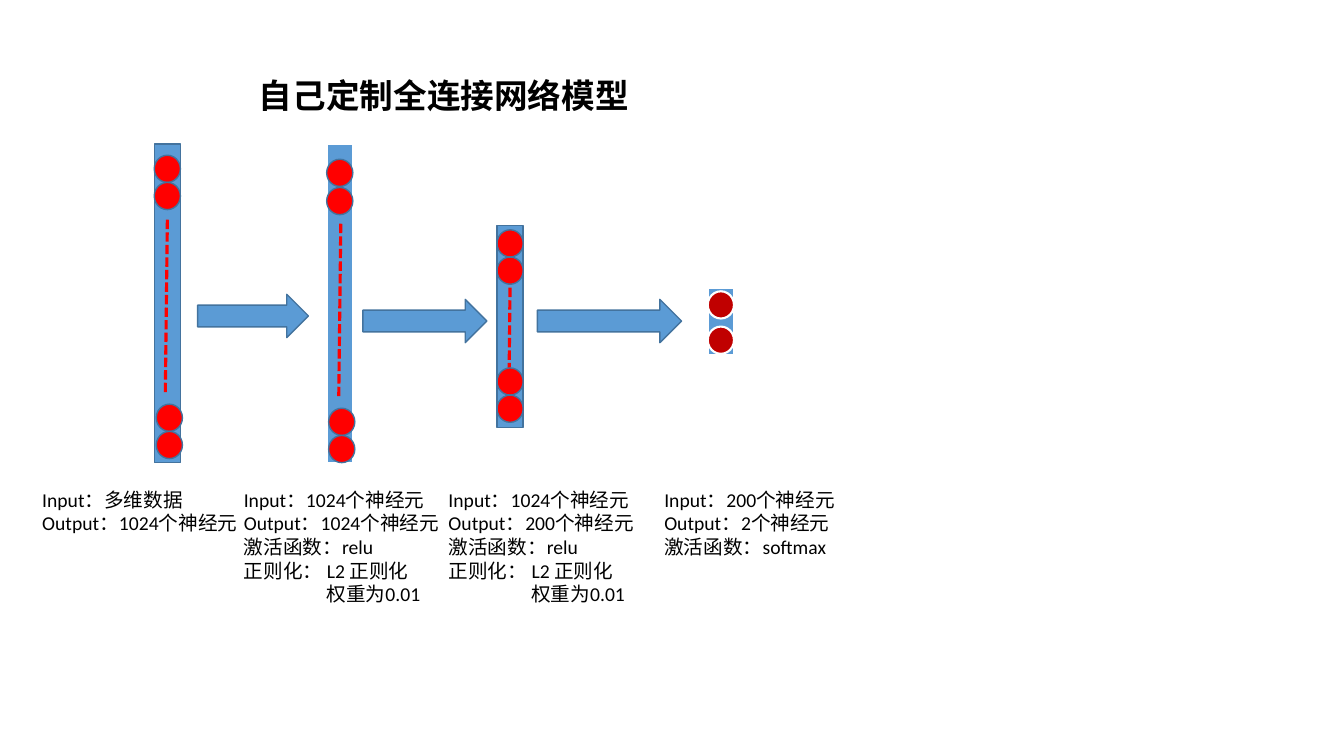
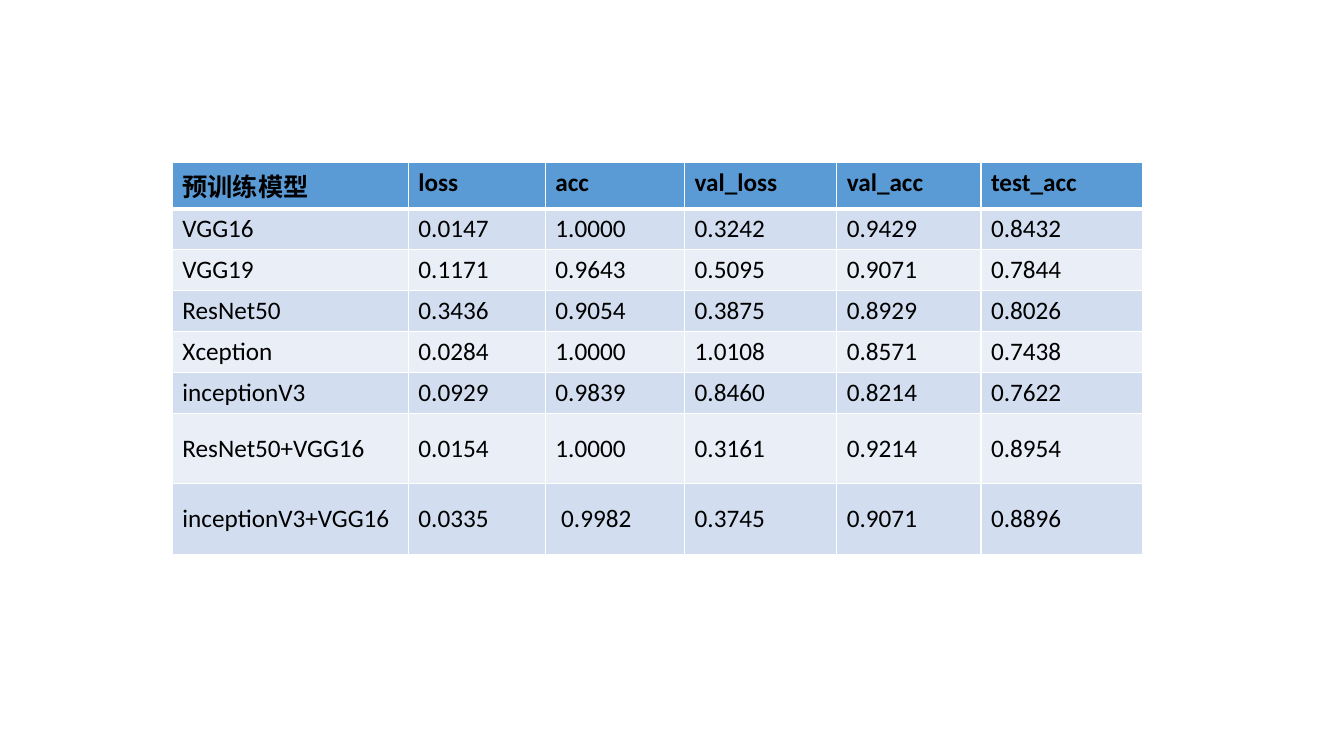
from pptx import Presentation
from pptx.dml.color import RGBColor
from pptx.enum.dml import MSO_LINE
from pptx.enum.shapes import MSO_CONNECTOR, MSO_SHAPE
from pptx.enum.text import MSO_ANCHOR
from pptx.oxml.ns import qn
from pptx.util import Inches, Pt
from lxml.etree import SubElement

FONT = "Calibri"
BLACK, WHITE = "000000", "FFFFFF"
BLUE, DARK_BLUE = "5B9BD5", "43739E"
RED, DARK_RED = "FF0000", "C00000"
BANDS = ("EAEFF7", "D2DEEF")
DARK_OUTLINE = (DARK_BLUE, 1)
WHITE_OUTLINE = (WHITE, 1.5)
BAR_WIDTH = 0.26
NEURON_HEIGHT = 0.27

LAYERS = [
    dict(left=1.53, top=1.43, height=3.16, outline=DARK_OUTLINE,
         neurons=[(0, 0.11), (0, 0.38), (0.02, 2.58), (0.02, 2.85)],
         dashes=(0.13, 0.75, 0.11, 2.46)),
    dict(left=3.24, top=1.43, height=3.16, outline=WHITE_OUTLINE,
         neurons=[(0, 0.15), (0, 0.43), (0.02, 2.62), (0.02, 2.89)],
         dashes=(0.14, 0.79, 0.12, 2.51)),
    dict(left=4.93, top=2.24, height=2, outline=DARK_OUTLINE,
         neurons=[(0, 0.04), (0, 0.31), (0, 1.41), (0, 1.68)],
         dashes=(0.13, 0.49, 0.12, 1.41)),
    dict(left=7.02, top=2.86, height=0.66, outline=WHITE_OUTLINE,
         neurons=[(0, 0.03), (0, 0.38)], neuron_color=DARK_RED,
         neuron_outline=WHITE_OUTLINE),
]
ARROWS = [(1.96, 2.92, 1.1), (3.6, 2.97, 1.23), (5.33, 2.97, 1.43)]
HIDDEN_LAYER = ["激活函数：relu", "正则化： L2 正则化"]
WEIGHT = "权重为0.01"
CAPTIONS = [
    (0.32, 0.57, ["Input：多维数据", "Output：1024个神经元"]),
    (2.32, 1.28, ["Input：1024个神经元", "Output：1024个神经元", *HIDDEN_LAYER, WEIGHT]),
    (4.35, 1.28, ["Input：1024个神经元", "Output：200个神经元", *HIDDEN_LAYER, WEIGHT]),
    (6.49, 0.81, ["Input：200个神经元", "Output：2个神经元", "激活函数：softmax"]),
]

COLUMN_WIDTHS = [2.34, 1.36, 1.38, 1.51, 1.43, 1.6]
ROW_HEIGHTS = [0.4] * 6 + [0.7] * 2
RESULTS = [
    ["预训练模型", "loss", "acc", "val_loss", "val_acc", "test_acc"],
    ["VGG16", "0.0147", "1.0000", "0.3242", "0.9429", "0.8432"],
    ["VGG19", "0.1171", "0.9643", "0.5095", "0.9071", "0.7844"],
    ["ResNet50", "0.3436", "0.9054", "0.3875", "0.8929", "0.8026"],
    ["Xception", "0.0284", "1.0000", "1.0108", "0.8571", "0.7438"],
    ["inceptionV3", "0.0929", "0.9839", "0.8460", "0.8214", "0.7622"],
    ["ResNet50+VGG16", "0.0154", "1.0000", "0.3161", "0.9214", "0.8954"],
    ["inceptionV3+VGG16", "0.0335", " 0.9982", "0.3745", "0.9071", "0.8896"],
]


def color(value):
    """Turn a hex string into a colour."""
    return RGBColor.from_string(value)


def style_paragraph(paragraph, size, bold=False):
    """Set the shared font on a paragraph."""
    font = paragraph.font
    font.name, font.size, font.bold = FONT, Pt(size), bold
    font.color.rgb = color(BLACK)


def add_text(slide, left, top, width, height, lines, size, bold=False):
    """Add a wrapped text box with one paragraph per line."""
    box = slide.shapes.add_textbox(*map(Inches, (left, top, width, height)))
    frame = box.text_frame
    frame.word_wrap = True
    frame.text = "\n".join(lines)
    for paragraph in frame.paragraphs:
        style_paragraph(paragraph, size, bold)
        if paragraph.text == WEIGHT:
            paragraph._p.get_or_add_pPr().set("marL", str(Inches(0.82)))


def add_figure(slide, kind, left, top, width, height, fill, outline):
    """Add a filled, outlined preset shape without shadow."""
    shape = slide.shapes.add_shape(kind, *map(Inches, (left, top, width, height)))
    shape.shadow.inherit = False
    shape.fill.solid()
    shape.fill.fore_color.rgb = color(fill)
    shape.line.color.rgb = color(outline[0])
    shape.line.width = Pt(outline[1])


def add_dashes(slide, start_x, start_y, end_x, end_y):
    """Add the dashed line that stands for the omitted neurons."""
    line = slide.shapes.add_connector(
        MSO_CONNECTOR.STRAIGHT, *map(Inches, (start_x, start_y, end_x, end_y)))
    line.line.color.rgb = color(RED)
    line.line.width = Pt(2.25)
    line.line.dash_style = MSO_LINE.SQUARE_DOT
    SubElement(line._element.spPr, qn("a:effectLst"))


def add_layer(slide, left, top, height, outline, neurons, dashes=None,
              neuron_color=RED, neuron_outline=DARK_OUTLINE):
    """Draw a network layer as a bar holding neurons and dashes."""
    add_figure(slide, MSO_SHAPE.RECTANGLE, left, top, BAR_WIDTH, height, BLUE, outline)
    if dashes:
        start_x, start_y, end_x, end_y = dashes
        add_dashes(slide, left + start_x, top + start_y, left + end_x, top + end_y)
    for offset_x, offset_y in neurons:
        add_figure(slide, MSO_SHAPE.OVAL, left + offset_x, top + offset_y,
                   BAR_WIDTH, NEURON_HEIGHT, neuron_color, neuron_outline)


def add_network_slide(presentation):
    """Build the slide with the fully connected network."""
    slide = presentation.slides.add_slide(presentation.slide_layouts[6])
    add_text(slide, 2.47, 0.69, 3.89, 0.5, ["自己定制全连接网络模型"], 24, bold=True)
    for layer in LAYERS:
        add_layer(slide, **layer)
    for left, top, width in ARROWS:
        add_figure(slide, MSO_SHAPE.RIGHT_ARROW, left, top, width, 0.43, BLUE, DARK_OUTLINE)
    for left, height, lines in CAPTIONS:
        add_text(slide, left, 4.79, 2.14, height, lines, 14)


def set_borders(cell, top, bottom):
    """Give a cell white borders of the given top and bottom widths."""
    properties = cell._tc.get_or_add_tcPr()
    for side, width in (("L", 1), ("R", 1), ("T", top), ("B", bottom)):
        border = SubElement(properties, qn(f"a:ln{side}"), w=str(Pt(width)))
        fill = SubElement(border, qn("a:solidFill"))
        SubElement(fill, qn("a:srgbClr"), val=WHITE)


def add_results_table(slide, left, top):
    """Add the banded table of model results."""
    table = slide.shapes.add_table(
        len(ROW_HEIGHTS), len(COLUMN_WIDTHS), Inches(left), Inches(top),
        Inches(sum(COLUMN_WIDTHS)), Inches(sum(ROW_HEIGHTS))).table
    for column, width in zip(table.columns, COLUMN_WIDTHS):
        column.width = Inches(width)
    for index, (row, height, values) in enumerate(zip(table.rows, ROW_HEIGHTS, RESULTS)):
        row.height = Inches(height)
        header = index == 0
        for cell, value in zip(row.cells, values):
            cell.text = value
            style_paragraph(cell.text_frame.paragraphs[0], 18, header)
            set_borders(cell, 3 if index == 1 else 1, 3 if header else 1)
            cell.fill.solid()
            cell.fill.fore_color.rgb = color(BLUE if header else BANDS[index % 2])
            if height > 0.4:
                cell.vertical_anchor = MSO_ANCHOR.MIDDLE


def add_results_slide(presentation):
    """Build the slide with the results of the pretrained models."""
    slide = presentation.slides.add_slide(presentation.slide_layouts[6])
    add_results_table(slide, 1.71, 1.61)


def main():
    """Build and save the presentation."""
    presentation = Presentation()
    presentation.slide_width = Inches(13.33)
    presentation.slide_height = Inches(7.5)
    add_network_slide(presentation)
    add_results_slide(presentation)
    presentation.save("out.pptx")


main()
